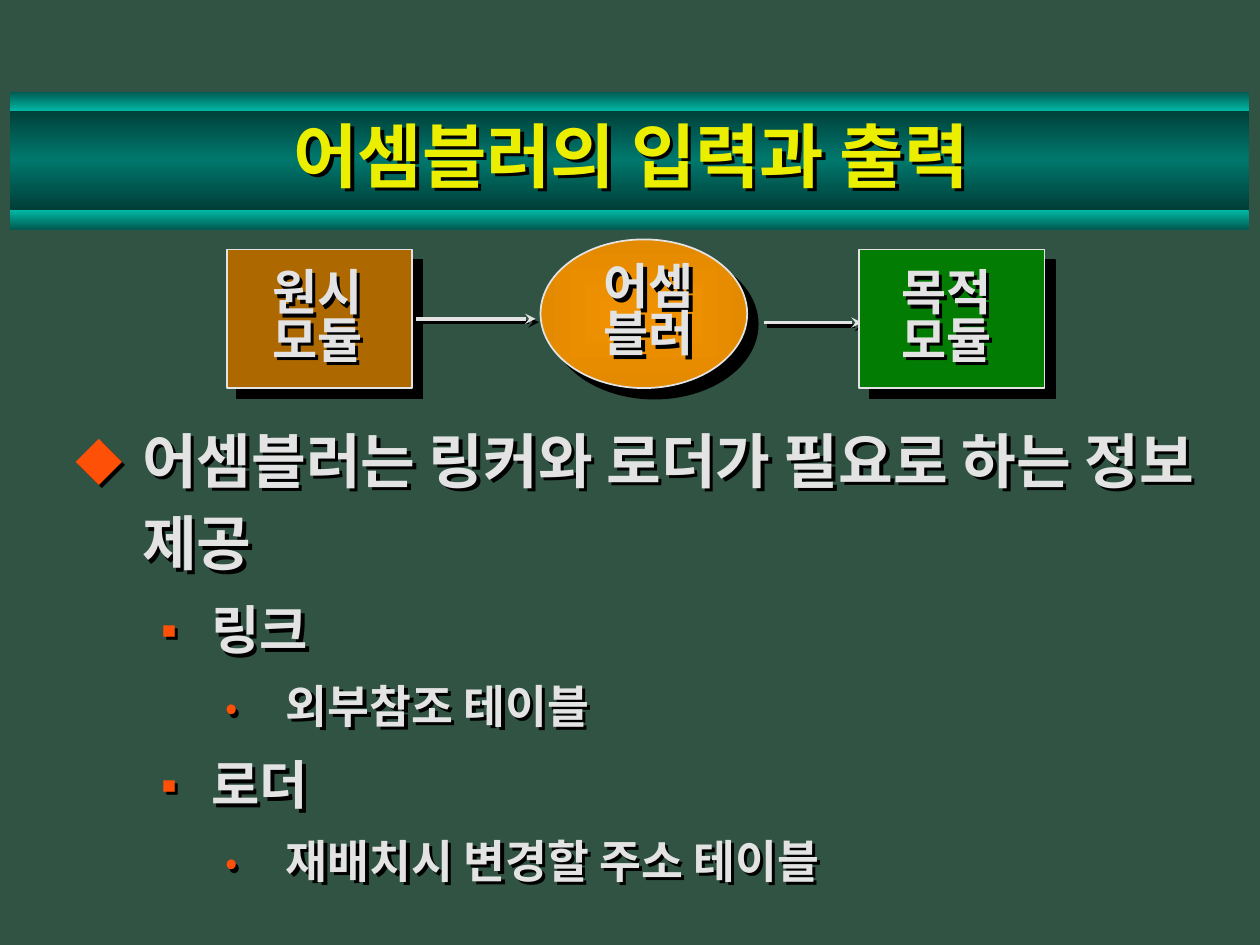
from collections import namedtuple
from lxml import etree
from pptx import Presentation
from pptx.dml.color import RGBColor
from pptx.enum.shapes import MSO_CONNECTOR as Connector, MSO_SHAPE as Preset
from pptx.enum.text import MSO_ANCHOR as Anchor, PP_ALIGN as Align
from pptx.oxml.ns import qn
from pptx.util import Inches, Pt

BACKGROUND = RGBColor(0x30, 0x53, 0x43)
YELLOW = RGBColor(0xEC, 0xEE, 0x00)
LIGHT = RGBColor(0xE3, 0xE3, 0xE3)
BULLET = RGBColor(0xFF, 0x50, 0x08)
BLACK = RGBColor(0x00, 0x00, 0x00)
BROWN = RGBColor(0xAD, 0x69, 0x00)
GREEN = RGBColor(0x03, 0x7C, 0x03)
ORANGE = RGBColor(0xEF, 0x91, 0x00)
DEEP_ORANGE = RGBColor(0xE4, 0x8A, 0x00)
DARK_TEAL = RGBColor(0x00, 0x3C, 0x36)
TEAL = RGBColor(0x00, 0x78, 0x6D)
EDGE_DARK = RGBColor(0x00, 0x5B, 0x52)
EDGE_BRIGHT = RGBColor(0x00, 0xB7, 0xA5)

FONT = "Noto Sans CJK KR"
CELL = 0.1
Box = namedtuple("Box", "left top width height")
Level = namedtuple("Level", "size bullet margin indent")
LEVELS = [
    Level(34, "◆", 0.53, -0.53),
    Level(30, "▪", 1.08, -0.5),
    Level(26, "•", 1.67, -0.48),
]


def grid(cells):
    return Inches(cells * CELL)


def place(box):
    return [grid(cells) for cells in box]


def child(parent, tag, **attributes):
    element = etree.SubElement(parent, qn(tag))
    for name, value in attributes.items():
        element.set(name, str(value))
    return element


def add_shadow(properties, distance):
    effects = properties.find(qn("a:effectLst"))
    if effects is None:
        effects = child(properties, "a:effectLst")
    shadow = child(effects, "a:outerShdw", dist=Pt(distance), dir=45 * 60000,
                   algn="ctr", rotWithShape=0)
    child(shadow, "a:srgbClr", val=BLACK)


def fill_gradient(shape, colors, radial=False):
    shape.fill.gradient()
    gradient = shape._element.spPr.find(qn("a:gradFill"))
    for element in list(gradient):
        gradient.remove(element)
    stops = child(gradient, "a:gsLst")
    for index, color in enumerate(colors):
        stop = child(stops, "a:gs", pos=index * 100000 // (len(colors) - 1))
        child(stop, "a:srgbClr", val=color)
    if radial:
        direction = child(gradient, "a:path", path="shape")
        child(direction, "a:fillToRect", l=50000, t=50000, r=50000, b=50000)
    else:
        child(gradient, "a:lin", ang=90 * 60000, scaled=0)


def add_run(paragraph, text, size, color):
    run = paragraph.add_run()
    run.text = text
    run.font.size = Pt(size)
    run.font.bold = True
    run.font.name = FONT
    run.font.color.rgb = color
    child(run._r.get_or_add_rPr(), "a:ea", typeface=FONT)


def add_text_frame(slide, box, top_inset=0.05):
    text_box = slide.shapes.add_textbox(*place(box))
    add_shadow(text_box._element.spPr, 2.8)
    frame = text_box.text_frame
    frame.word_wrap = True
    frame.margin_top = Inches(top_inset)
    return frame


def add_paragraphs(frame, count):
    return [frame.paragraphs[0]] + [frame.add_paragraph() for _ in range(count - 1)]


def add_title_band(slide, box, title):
    edge = 1.5
    strips = [
        (Box(box.left, box.top + 1.2, box.width, 8.3), [DARK_TEAL, TEAL, DARK_TEAL]),
        (Box(box.left, box.top + box.height - edge, box.width, edge),
         [EDGE_BRIGHT, EDGE_DARK]),
        (Box(box.left, box.top, box.width, edge), [EDGE_DARK, EDGE_BRIGHT]),
    ]
    for strip, colors in strips:
        shape = slide.shapes.add_shape(Preset.RECTANGLE, *place(strip))
        fill_gradient(shape, colors)
        shape.line.fill.background()
        shape.shadow.inherit = False
    frame = add_text_frame(slide, Box(box.left + 6.8, box.top + 0.9, 85, 8.1))
    frame.vertical_anchor = Anchor.MIDDLE
    paragraph = frame.paragraphs[0]
    paragraph.alignment = Align.CENTER
    add_run(paragraph, title, 40, YELLOW)


def add_node(slide, box, preset, colors, label_box, lines):
    shape = slide.shapes.add_shape(preset, *place(box))
    if len(colors) > 1:
        fill_gradient(shape, colors, radial=True)
    else:
        shape.fill.solid()
        shape.fill.fore_color.rgb = colors[0]
    shape.line.color.rgb = LIGHT
    shape.line.width = Pt(1)
    shape.shadow.inherit = False
    add_shadow(shape._element.spPr, 8.5)
    frame = add_text_frame(slide, label_box, 0.09)
    for paragraph, line in zip(add_paragraphs(frame, len(lines)), lines):
        paragraph.alignment = Align.CENTER
        paragraph.line_spacing = Pt(27)
        add_run(paragraph, line, 28, LIGHT)


def add_arrow(slide, start, end, height):
    arrow = slide.shapes.add_connector(
        Connector.STRAIGHT, grid(start), grid(height), grid(end), grid(height))
    arrow.line.color.rgb = LIGHT
    arrow.line.width = Pt(2)
    child(arrow.line._get_or_add_ln(), "a:tailEnd", type="stealth")
    add_shadow(arrow._element.spPr, 2.8)


def add_flow(slide, box):
    left, top = box.left, box.top
    add_node(slide, Box(left, top + 0.8, 14.7, 11), Preset.RECTANGLE, [BROWN],
             Box(left - 0.8, top + 1.8, 16, 9.6), ["원시", "모듈"])
    add_arrow(slide, left + 15, left + 24.5, top + 6.3)
    add_node(slide, Box(left + 24.9, top, 16.4, box.height), Preset.OVAL,
             [ORANGE, DEEP_ORANGE],
             Box(left + 25.5, top + 1.3, 16, 9.6), ["어셈", "블러"])
    add_arrow(slide, left + 42.6, left + 50.4, top + 6.6)
    add_node(slide, Box(left + 50.2, top + 0.8, 14.7, 11), Preset.RECTANGLE, [GREEN],
             Box(left + 49.1, top + 1.8, 16, 9.6), ["목적", "모듈"])


def add_outline(slide, box, items):
    frame = add_text_frame(slide, box, 0.1)
    for paragraph, (depth, text) in zip(add_paragraphs(frame, len(items)), items):
        level = LEVELS[depth]
        paragraph.level = depth
        paragraph.line_spacing = Pt(round(level.size * 1.38, 1))
        paragraph.space_before = Pt(level.size * 0.2)
        properties = paragraph._p.get_or_add_pPr()
        properties.set("marL", str(Inches(level.margin)))
        properties.set("indent", str(Inches(level.indent)))
        child(child(properties, "a:buClr"), "a:srgbClr", val=BULLET)
        child(properties, "a:buSzPct", val=80000)
        child(properties, "a:buFont", typeface=FONT)
        child(properties, "a:buChar", char=level.bullet)
        add_run(paragraph, text, level.size, LIGHT)


def main():
    presentation = Presentation()
    presentation.slide_width = grid(100)
    presentation.slide_height = grid(75)
    slide = presentation.slides.add_slide(presentation.slide_layouts[6])
    slide.background.fill.solid()
    slide.background.fill.fore_color.rgb = BACKGROUND
    add_title_band(slide, Box(0.8, 7.3, 98.3, 10.9), "어셈블러의 입력과 출력")
    add_outline(slide, Box(5, 31.8, 90.8, 41.9), [
        (0, "어셈블러는 링커와 로더가 필요로 하는 정보 제공"),
        (1, "링크"),
        (2, "외부참조 테이블"),
        (1, "로더"),
        (2, "재배치시 변경할 주소 테이블"),
    ])
    add_flow(slide, Box(18, 19, 64.9, 11.8))
    presentation.save("out.pptx")


if __name__ == "__main__":
    main()
